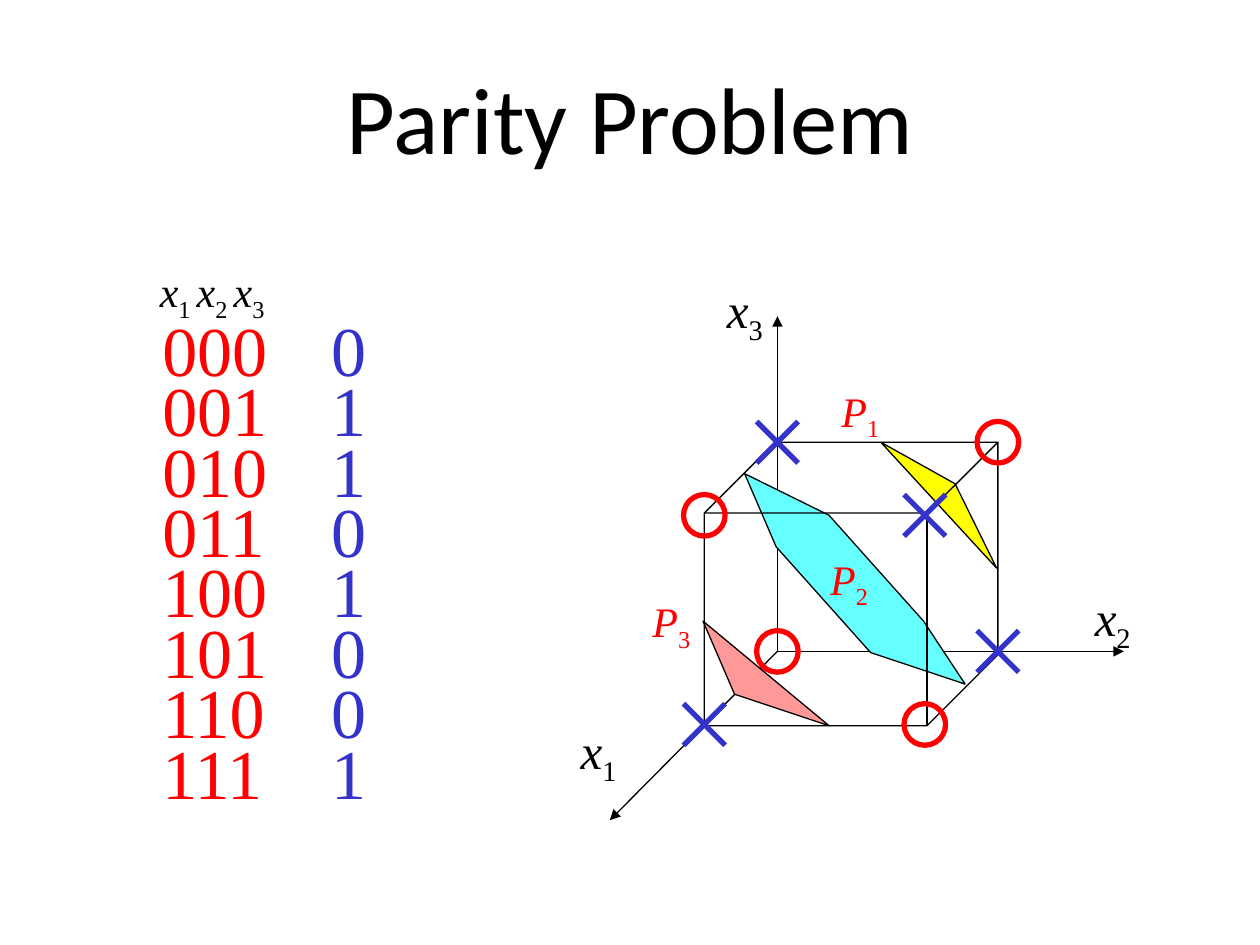
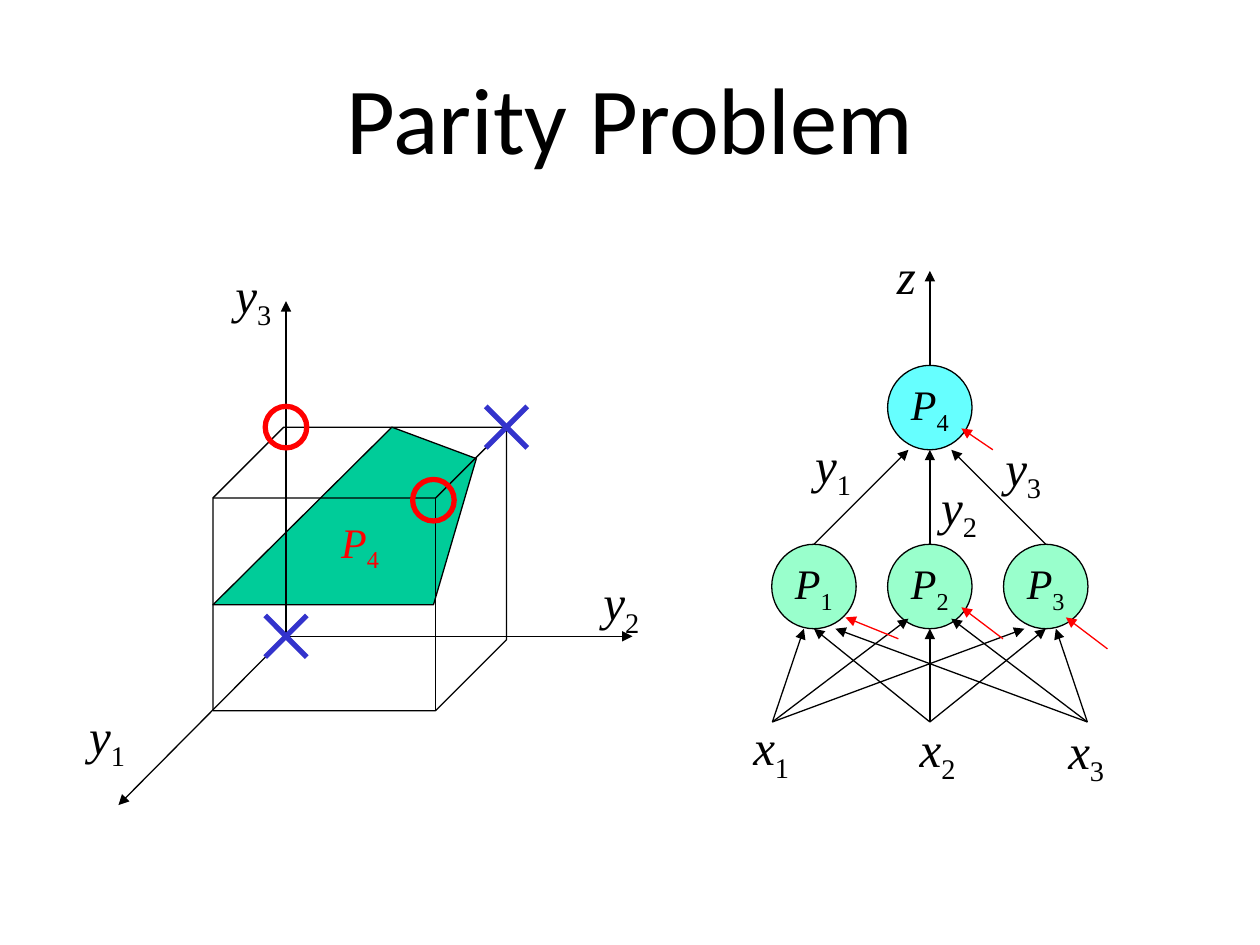
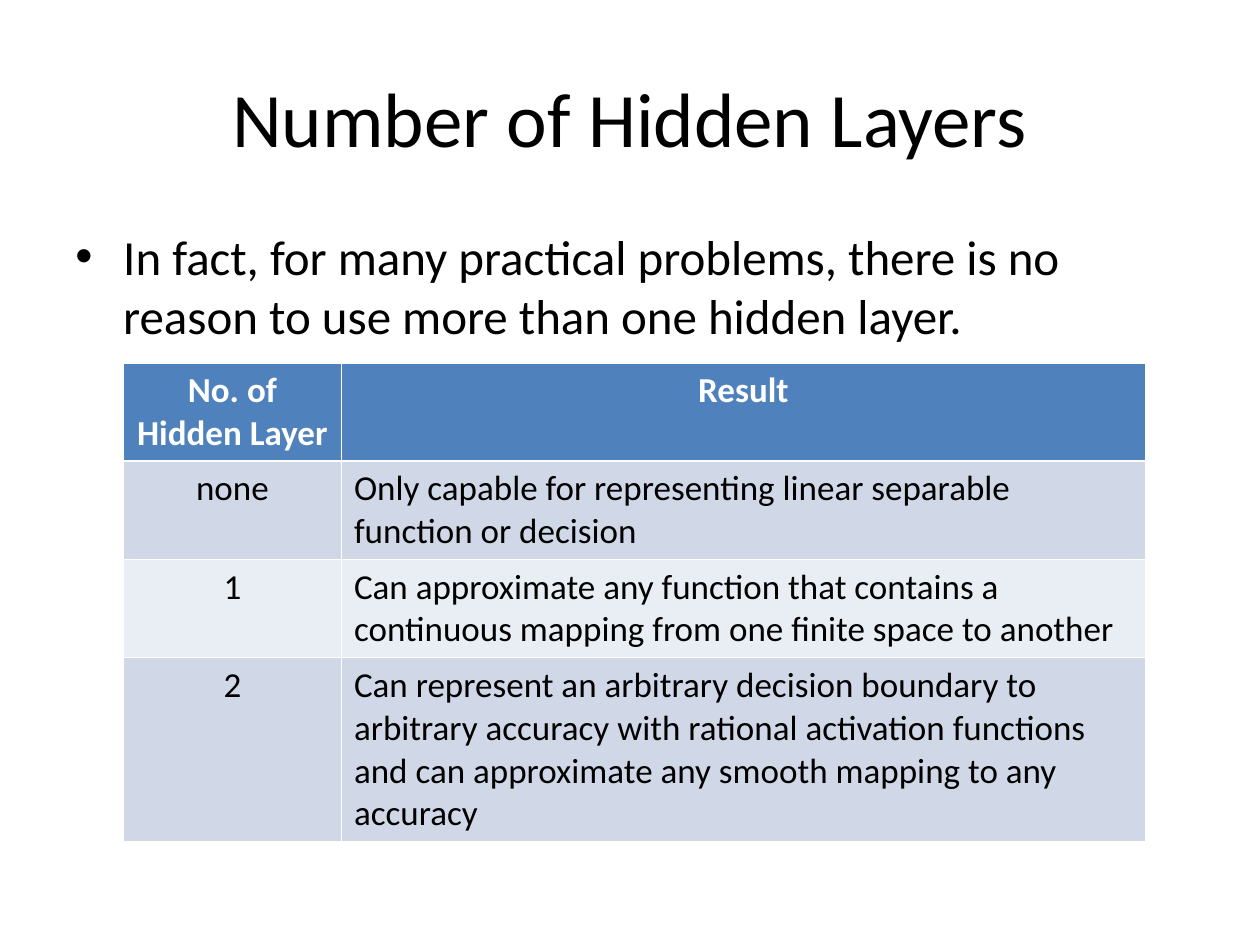
"""Build three slides on the parity problem and hidden layers."""
import itertools

import lxml.etree
import pptx
import pptx.dml.color
import pptx.enum.shapes
import pptx.enum.text
import pptx.oxml.ns
import pptx.util

Inches = pptx.util.Inches
SHAPES = pptx.enum.shapes.MSO_SHAPE
CENTER = pptx.enum.text.PP_ALIGN.CENTER
MIDDLE = pptx.enum.text.MSO_ANCHOR.MIDDLE

COLORS = {
    "black": "000000", "white": "FFFFFF", "red": "FF0000", "blue": "3333CC",
    "yellow": "FFFF00", "cyan": "66FFFF", "pink": "FF9999", "green": "00CC99",
    "mint": "99FFCC", "header": "4F81BD", "band_dark": "D0D8E8", "band_light": "E9EDF4",
}
SANS, SERIF = "Calibri", "Times New Roman"
TITLE_BOX = (0.5, 0.3, 9, 1.25)

CUBE_SIZE = (2.33, 2.25)
DEPTH = 0.58
CUBE_ORIGIN = (DEPTH, 1.66)
AXES = [((-0.75, 3), (-1.08, 2.16)), ((3.33, 1.66), (3, 1.1)), ((0.58, -1), (0.08, -1.34))]
MARK_SIZE = 0.33
NEURON_SIZE = 0.67

# Each plane: name, colour, layer, corner points, label position.
INPUT_PLANES = [
    ("P1", "yellow", "middle", [(1.4, 0), (1.99, 0.33), (2.32, 1)], (0.99, -0.5)),
    ("P2", "cyan", "middle", [(0.32, 0.25), (0.99, 0.58), (1.74, 1.42), (2.07, 1.92),
                              (1.32, 1.67), (0.57, 0.83)], (0.9, 0.83)),
    ("P3", "pink", "front", [(-0.01, 1.42), (0.99, 2.25), (0.24, 2)], (-0.51, 1.17)),
]
HIDDEN_PLANES = [
    ("P4", "green", "back", [(1.42, 0), (2.09, 0.25), (1.75, 1.41), (0, 1.41)], (0.92, 0.66)),
]
LAYER_ROWS = [
    ("No. of Hidden Layer", "Result"),
    ("none", "Only capable for representing linear separable function or decision"),
    ("1", "Can approximate any function that contains a continuous mapping from one finite "
          "space to another"),
    ("2", "Can represent an arbitrary decision boundary to arbitrary accuracy with rational "
          "activation functions and can approximate any smooth mapping to any accuracy"),
]


def rgb(color):
    """Return the colour object for a palette name."""
    return pptx.dml.color.RGBColor.from_string(COLORS[color])


def place(box, point):
    """Return a point given relative to a box in slide inches."""
    return box[0] + point[0], box[1] + point[1]


def add_run(paragraph, text, size, color="black", font=SERIF, bold=False):
    """Add one formatted run to a paragraph."""
    run = paragraph.add_run()
    run.text = text
    run.font.name, run.font.size, run.font.bold = font, pptx.util.Pt(size), bold
    run.font.color.rgb = rgb(color)
    return run


def add_symbols(paragraph, names, size, color="black"):
    """Write names such as x1 as italic letters with subscripts."""
    for number, name in enumerate(names, 1):
        add_run(paragraph, name[0], size, color).font.italic = True
        if name[1:]:
            index = name[1:] + (" " if number < len(names) else "")
            run = add_run(paragraph, index, size, color)
            run.font._element.set("baseline", "-25000")


def add_text_box(slide, left, top, width, height, wrap=False):
    """Add a text box and return its first paragraph."""
    shape = slide.shapes.add_textbox(*map(Inches, (left, top, width, height)))
    shape.text_frame.word_wrap = wrap
    return shape.text_frame.paragraphs[0]


def add_symbol_label(slide, point, name, size=28, color="black"):
    """Add a small label holding one symbol."""
    width = 0.35 if len(name) == 1 else 0.52
    paragraph = add_text_box(slide, *point, width, 0.57 if size == 28 else 0.5)
    add_symbols(paragraph, [name], size, color)


def style_shape(shape, fill=None, line="black", weight=0.75):
    """Set fill and outline of a shape and drop its shadow."""
    shape.shadow.inherit = False
    if fill:
        shape.fill.solid()
        shape.fill.fore_color.rgb = rgb(fill)
    else:
        shape.fill.background()
    shape.line.color.rgb = rgb(line)
    shape.line.width = pptx.util.Pt(weight)


def add_preset(slide, kind, point, size, **style):
    """Add a preset shape at a point."""
    shape = slide.shapes.add_shape(kind, *map(Inches, (*point, *size)))
    style_shape(shape, **style)
    return shape


def add_line(slide, start, end, color="black", weight=0.75, arrow=True):
    """Add a straight line, with an arrowhead at its end if wanted."""
    connector = slide.shapes.add_connector(
        pptx.enum.shapes.MSO_CONNECTOR.STRAIGHT, *map(Inches, (*start, *end)))
    connector.line.color.rgb = rgb(color)
    connector.line.width = pptx.util.Pt(weight)
    if arrow:
        lxml.etree.SubElement(connector.line._get_or_add_ln(),
                              pptx.oxml.ns.qn("a:tailEnd"), type="triangle")
    lxml.etree.SubElement(connector._element.spPr, pptx.oxml.ns.qn("a:effectLst"))


def add_polygon(slide, points, fill):
    """Add a closed filled outline."""
    corners = [tuple(map(Inches, point)) for point in points]
    builder = slide.shapes.build_freeform(*corners[0])
    builder.add_line_segments(corners[1:], close=True)
    style_shape(builder.convert_to_shape(), fill=fill)


def add_titled_slide(presentation, title, size):
    """Add a title-only slide with its title placed and formatted."""
    slide = presentation.slides.add_slide(presentation.slide_layouts[5])
    shape = slide.shapes.title
    shape.left, shape.top, shape.width, shape.height = map(Inches, TITLE_BOX)
    shape.text_frame.vertical_anchor = MIDDLE
    paragraph = shape.text_frame.paragraphs[0]
    paragraph.alignment = CENTER
    add_run(paragraph, title, size, font=SANS)
    return slide


def add_truth_table(slide, box):
    """List every three-bit input beside its parity."""
    add_symbols(add_text_box(slide, *box, 1.09, 0.5), ["x1", "x2", "x3"], 24)
    for row, bits in enumerate(itertools.product("01", repeat=3)):
        top = 0.32 + 0.48 * row
        parity = str(bits.count("1") % 2)
        for left, width, text, color in ((0.02, 1.03, "".join(bits), "red"),
                                         (1.36, 0.48, parity, "blue")):
            paragraph = add_text_box(slide, *place(box, (left, top)), width, 0.77)
            add_run(paragraph, text, 40, color)


def add_class_mark(slide, center, output):
    """Mark a cube corner with a circle for 0 or a cross for 1."""
    half = MARK_SIZE / 2
    left, top = center[0] - half, center[1] - half
    right, bottom = center[0] + half, center[1] + half
    if output:
        add_line(slide, (right, top), (left, bottom), "blue", 3, arrow=False)
        add_line(slide, (left, top), (right, bottom), "blue", 3, arrow=False)
    else:
        add_preset(slide, SHAPES.OVAL, (left, top), (MARK_SIZE, MARK_SIZE), line="red", weight=3)


def add_cube_diagram(slide, box, letter, planes, outputs):
    """Draw a cube with axes, separating planes and class marks."""
    def add_planes(wanted):
        """Draw the planes of one layer."""
        for _, color, layer, points, _ in planes:
            if layer == wanted:
                add_polygon(slide, [place(box, point) for point in points], color)

    add_planes("back")
    for number, (tip, label) in enumerate(AXES, 1):
        add_line(slide, place(box, CUBE_ORIGIN), place(box, tip))
        add_symbol_label(slide, place(box, label), f"{letter}{number}")
    add_planes("middle")
    add_preset(slide, SHAPES.CUBE, box, CUBE_SIZE)
    for bits, output in outputs.items():
        first, second, third = map(int, bits)
        corner = (DEPTH * (1 - first) + 1.75 * second,
                  CUBE_ORIGIN[1] * (1 - third) + DEPTH * first)
        add_class_mark(slide, place(box, corner), output)
    add_planes("front")
    for name, _, _, _, label in planes:
        add_symbol_label(slide, place(box, label), name, 24, "red")


def add_neuron(slide, box, center_x, top, name, fill):
    """Draw one named network unit."""
    point = place(box, (center_x - NEURON_SIZE / 2, top))
    shape = add_preset(slide, SHAPES.OVAL, point, (NEURON_SIZE, NEURON_SIZE), fill=fill)
    shape.text_frame.word_wrap = False
    shape.text_frame.vertical_anchor = MIDDLE
    paragraph = shape.text_frame.paragraphs[0]
    paragraph.alignment = CENTER
    add_symbols(paragraph, [name], 24)


def add_network(slide, box):
    """Draw the network of three inputs, three hidden units and one output."""
    middle, output_top, hidden_top, input_y = 1.5, 1, 2.42, 3.83
    hidden_x = [middle + 0.92 * step for step in (-1, 0, 1)]
    input_x = [middle + 1.25 * step for step in (-1, 0, 1)]
    hidden_bottom = hidden_top + NEURON_SIZE
    tips = [[(-0.08, 0), (0, 0), (0.17, 0)],
            [(-0.17, -0.08), (0, 0), (0.17, -0.08)],
            [(-0.17, 0), (0, 0), (0.08, 0)]]

    add_neuron(slide, box, middle, output_top, "P4", "cyan")
    for number, center in enumerate(hidden_x, 1):
        add_neuron(slide, box, center, hidden_top, f"P{number}", "mint")
    links = [((middle, output_top), (middle, 0.25))]
    for center, unit_tips, shift in zip(hidden_x, tips, (-0.17, 0, 0.17)):
        links.append(((center, hidden_top), (middle + shift, output_top + NEURON_SIZE)))
        for source, (across, up) in zip(input_x, unit_tips):
            links.append(((source, input_y), (center + across, hidden_bottom + up)))
    for start, end in links:
        add_line(slide, place(box, start), place(box, end))

    for start, end in (((1.25, 3.17), (0.83, 3)), ((2.08, 3.17), (1.75, 2.92)),
                       ((2.91, 3.25), (2.58, 3)), ((2, 1.67), (1.75, 1.5))):
        add_line(slide, place(box, start), place(box, end), "red")
    labels = {"z": (1.14, 0), "y1": (0.49, 1.5), "y2": (1.49, 1.83), "y3": (2, 1.52),
              "x1": (0, 3.74), "x2": (1.32, 3.75), "x3": (2.5, 3.77)}
    for name, point in labels.items():
        add_symbol_label(slide, place(box, point), name)


def add_bullet(slide, box, text):
    """Add one bulleted statement."""
    paragraph = add_text_box(slide, *box, wrap=True)
    properties = paragraph._p.get_or_add_pPr()
    properties.set("marL", str(Inches(0.38)))
    properties.set("indent", str(Inches(-0.38)))
    lxml.etree.SubElement(properties, pptx.oxml.ns.qn("a:buFont"), typeface="Arial")
    lxml.etree.SubElement(properties, pptx.oxml.ns.qn("a:buChar"), char="•")
    add_run(paragraph, text, 28, font=SANS)


def add_layer_table(slide, box):
    """Add the table of hidden layer counts and their results."""
    table = slide.shapes.add_table(len(LAYER_ROWS), 2, *map(Inches, box)).table
    for column, width in zip(table.columns, (1.73, 6.38)):
        column.width = Inches(width)
    for row, height in zip(table.rows, (0.78, 0.78, 0.78, 1.46)):
        row.height = Inches(height)
    for row_index, texts in enumerate(LAYER_ROWS):
        header = row_index == 0
        band = "header" if header else ("band_light", "band_dark")[row_index % 2]
        for column_index, text in enumerate(texts):
            cell = table.cell(row_index, column_index)
            cell.fill.solid()
            cell.fill.fore_color.rgb = rgb(band)
            paragraph = cell.text_frame.paragraphs[0]
            if header or column_index == 0:
                paragraph.alignment = CENTER
            add_run(paragraph, text, 20, "white" if header else "black", SANS, header)


def main():
    """Build and save the presentation."""
    presentation = pptx.Presentation()
    presentation.slide_width, presentation.slide_height = Inches(10), Inches(7.5)

    slide = add_titled_slide(presentation, "Parity Problem", 54)
    add_truth_table(slide, (1.17, 2.06))
    corners = map("".join, itertools.product("01", repeat=3))
    parity = {bits: bits.count("1") % 2 for bits in corners}
    add_cube_diagram(slide, (5.59, 3.51), "x", INPUT_PLANES, parity)

    slide = add_titled_slide(presentation, "Parity Problem", 54)
    hidden_outputs = {"000": 1, "011": 1, "001": 0, "111": 0}
    add_cube_diagram(slide, (1.69, 3.39), "y", HIDDEN_PLANES, hidden_outputs)
    add_network(slide, (5.88, 1.9))

    slide = add_titled_slide(presentation, "Number of Hidden Layers", 44)
    add_bullet(slide, (0.5, 1.75, 9, 1.1), "In fact, for many practical problems, there is no "
               "reason to use more than one hidden layer.")
    add_layer_table(slide, (0.98, 2.88, 8.11, 3.8))
    presentation.save("out.pptx")


if __name__ == "__main__":
    main()
